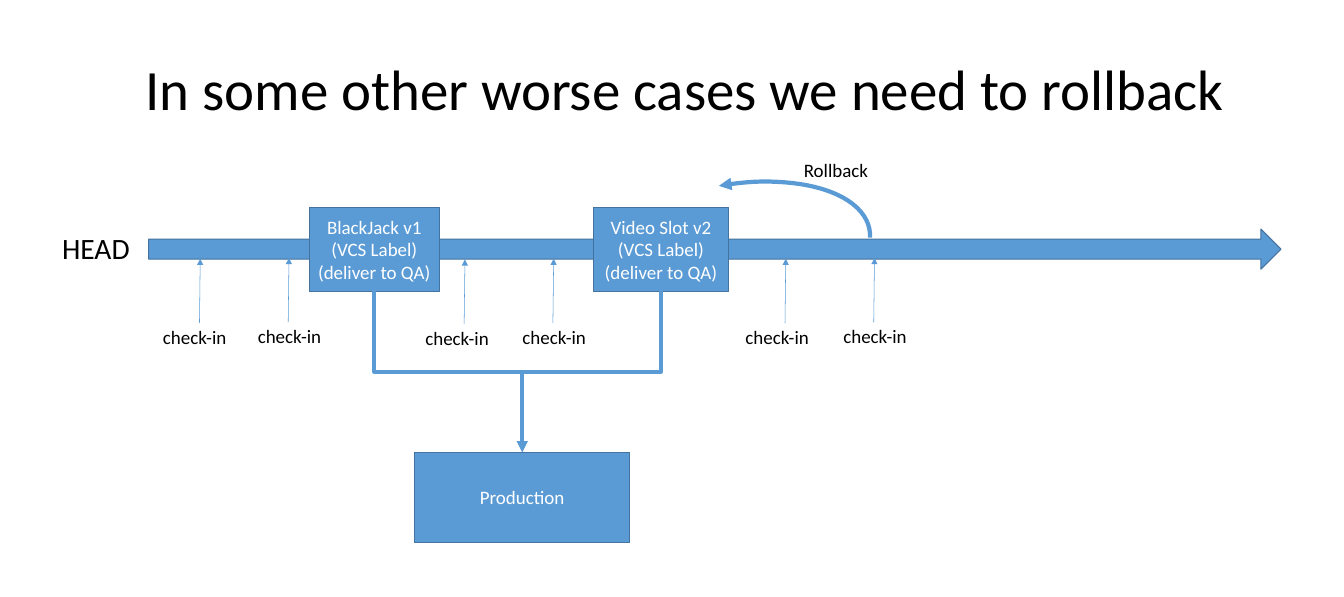
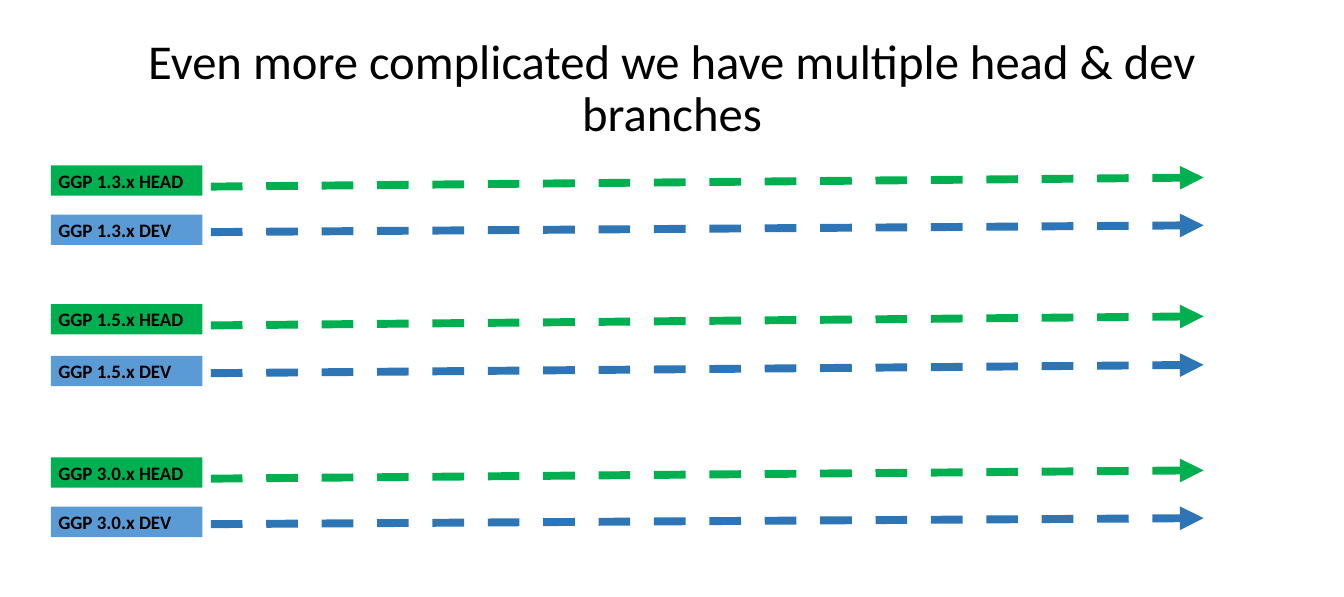
from pptx import Presentation
from pptx.dml.color import RGBColor
from pptx.enum.dml import MSO_LINE
from pptx.enum.shapes import MSO_CONNECTOR, MSO_SHAPE
from pptx.enum.text import MSO_ANCHOR, PP_ALIGN
from pptx.oxml.ns import qn
from pptx.oxml.xmlchemy import OxmlElement
from pptx.util import Emu, Pt

SCALE = 9144  # one px is a hundredth of an inch
SLIDE_WIDTH, SLIDE_HEIGHT = 1772, 787
FONT = "Calibri"
BLUE, DARK_BLUE, ARROW_BLUE = "5B9BD5", "43739E", "2E75B6"
GREEN, BLACK, WHITE = "00B050", "000000", "FFFFFF"
DASH = MSO_LINE.DASH
STRAIGHT, ELBOW = MSO_CONNECTOR.STRAIGHT, MSO_CONNECTOR.ELBOW
RECTANGLE, RIGHT_ARROW, ARC = MSO_SHAPE.RECTANGLE, MSO_SHAPE.RIGHT_ARROW, MSO_SHAPE.ARC
LEFT, CENTER = PP_ALIGN.LEFT, PP_ALIGN.CENTER
TOP, MIDDLE = MSO_ANCHOR.TOP, MSO_ANCHOR.MIDDLE
BOTTOM_SIDE, TOP_SIDE = 2, 0


def px(*lengths):
    return [Emu(int(length * SCALE)) for length in lengths]


def rgb(color):
    return RGBColor.from_string(color)


def write(shape, lines, size=18, color=BLACK, bold=False, align=LEFT,
          anchor=TOP, wrap=True, spacing=None):
    frame = shape.text_frame
    frame.word_wrap = wrap
    frame.vertical_anchor = anchor
    frame.text = "\n".join(lines)
    for paragraph in frame.paragraphs:
        paragraph.alignment = align
        if spacing:
            paragraph.line_spacing = spacing
        font = paragraph.font
        font.name, font.size, font.bold = FONT, Pt(size), bold
        font.color.rgb = rgb(color)


def add_text(slide, box, text, **style):
    write(slide.shapes.add_textbox(*px(*box)), [text], **style)


def add_box(slide, preset, box, fill=None, line=None, weight=1):
    shape = slide.shapes.add_shape(preset, *px(*box))
    shape.shadow.inherit = False
    if fill:
        shape.fill.solid()
        shape.fill.fore_color.rgb = rgb(fill)
    else:
        shape.fill.background()
    if line:
        style_line(shape, line, weight)
    else:
        shape.line.fill.background()
    return shape


def style_line(shape, color, weight, dash=None):
    shape.line.color.rgb = rgb(color)
    shape.line.width = Pt(weight)
    if dash:
        shape.line.dash_style = dash


def add_arrowhead(shape, end="a:tailEnd"):
    head = OxmlElement(end)
    head.set("type", "triangle")
    shape._element.spPr.find(qn("a:ln")).append(head)


def add_arrow(slide, start, finish, color, weight, dash=None, kind=STRAIGHT):
    connector = slide.shapes.add_connector(kind, *px(*start, *finish))
    style_line(connector, color, weight, dash)
    add_arrowhead(connector)
    connector._element.spPr.append(OxmlElement("a:effectLst"))
    return connector


def join_downwards(slide, source, target):
    """Elbow arrow from the bottom of source to the top of target."""
    start_x, start_y = source.left + source.width // 2, source.top + source.height
    end_x, end_y = target.left + target.width // 2, target.top
    connector = add_arrow(slide, (0, 0), (1, 1), BLUE, 3.5, kind=ELBOW)
    connector.begin_connect(source, BOTTOM_SIDE)
    connector.end_connect(target, TOP_SIDE)
    # The frame is turned by a quarter, so its sides swap
    width, height = end_y - start_y, abs(end_x - start_x)
    connector.left = (start_x + end_x - width) // 2
    connector.top = (start_y + end_y - height) // 2
    connector.width, connector.height = width, height
    rightwards = end_x > start_x
    frame = connector._element.spPr.find(qn("a:xfrm"))
    frame.set("rot", "16200000" if rightwards else "5400000")
    frame.set("flipH", "1" if rightwards else "0")
    frame.set("flipV", "0")


def add_check_in(slide, arrow_x, arrow_bottom, text_left):
    add_arrow(slide, (arrow_x, arrow_bottom), (arrow_x + 1, arrow_bottom - 85), BLUE, 0.5)
    add_text(slide, (text_left, arrow_bottom - 2, 115, 40), "check-in")


def add_step(slide, box, lines):
    step = add_box(slide, RECTANGLE, box, BLUE, DARK_BLUE)
    write(step, lines, color=WHITE, align=CENTER, anchor=MIDDLE)
    return step


def add_branch(slide, name, label_top, start_y, end_y, fill, line):
    add_arrow(slide, (278, start_y), (1587, end_y), line, 7.5, DASH)
    label = add_box(slide, RECTANGLE, (67, label_top, 200, 40), fill)
    write(label, [name], bold=True)


def build_rollback(slide):
    add_text(slide, (182, 66, 1458, 101),
             "In some other worse cases we need to rollback", size=54, wrap=False)

    # Head timeline with its check-ins
    add_box(slide, RIGHT_ARROW, (196, 302, 1493, 53), BLUE, DARK_BLUE)
    add_text(slide, (72, 298, 110, 57), "HEAD", size=28, wrap=False)
    for check_in in ((263, 426, 205), (380, 425, 330), (612, 427, 551),
                     (729, 426, 679), (1035, 426, 973), (1152, 425, 1102)):
        add_check_in(slide, *check_in)

    # Labelled versions that go to production
    production = add_step(slide, (547, 596, 283, 119), ["Production"])
    for left, width, version in ((408, 171, "BlackJack v1"), (783, 177, "Video Slot v2")):
        step = add_step(slide, (left, 273, width, 111),
                        [f"{version} (VCS Label)", "(deliver to QA)"])
        join_downwards(slide, step, production)

    # Rollback curve
    curve = add_box(slide, ARC, (763, 245, 387, 189), line=BLUE, weight=4)
    curve.adjustments[0], curve.adjustments[1] = 165.6, 2.01
    curve.rotation = 348.8
    add_arrowhead(curve, "a:headEnd")
    add_text(slide, (1050, 204, 175, 40), "Rollback")


def build_branches(slide):
    add_text(slide, (122, 42, 1528, 152),
             "Even more complicated we have multiple head & dev branches",
             size=46.2, align=CENTER, anchor=MIDDLE, spacing=0.9)

    # Label top, arrow start and arrow end for head and dev
    versions = {
        "1.3.x": ((218, 246, 234), (283, 306, 297)),
        "1.5.x": ((401, 429, 417), (469, 492, 481)),
        "3.0.x": ((603, 631, 620), (668, 691, 683)),
    }
    for version, (head, dev) in versions.items():
        add_branch(slide, f"GGP {version} HEAD", *head, GREEN, GREEN)
        add_branch(slide, f"GGP {version} DEV", *dev, BLUE, ARROW_BLUE)


def main():
    presentation = Presentation()
    presentation.slide_width, presentation.slide_height = px(SLIDE_WIDTH, SLIDE_HEIGHT)
    blank = presentation.slide_layouts[6]
    for build in (build_rollback, build_branches):
        build(presentation.slides.add_slide(blank))
    presentation.save("out.pptx")


if __name__ == "__main__":
    main()
